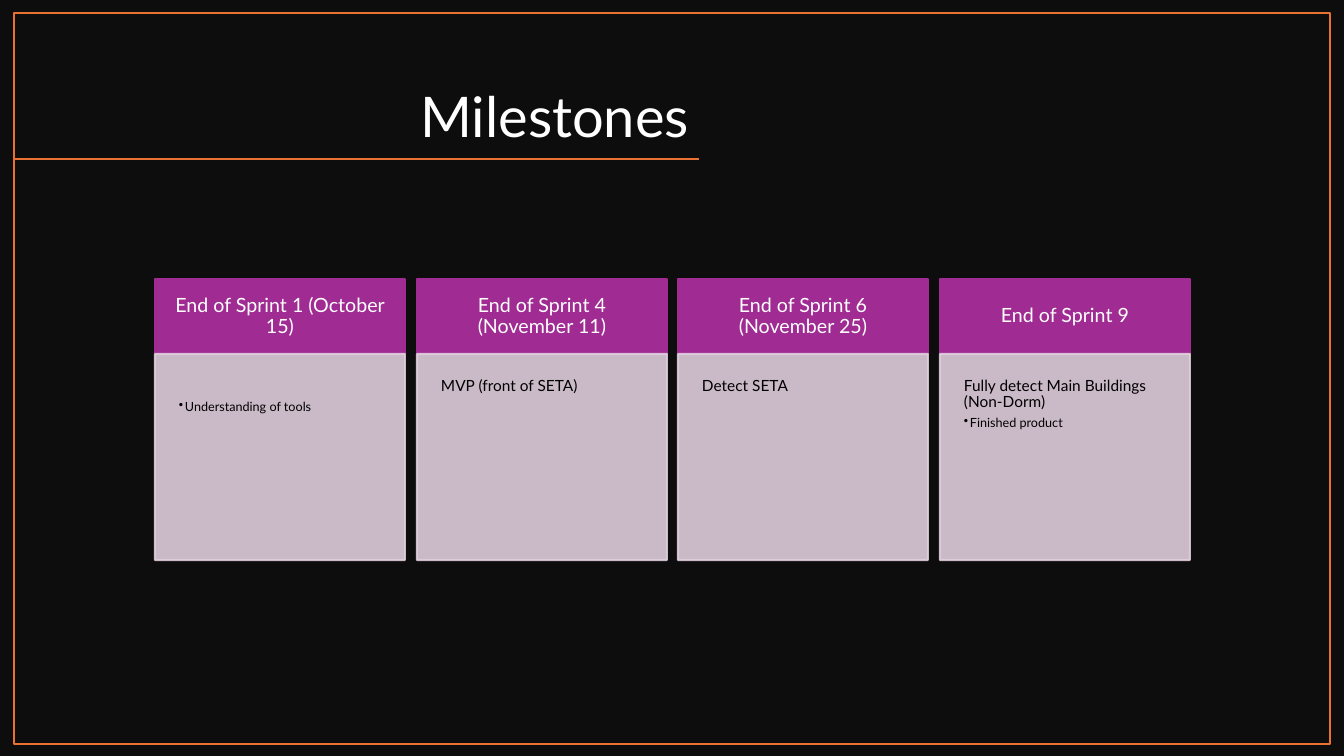
from lxml import etree
from pptx import Presentation, util as u
from pptx.dml.color import RGBColor
from pptx.enum import shapes, text
from pptx.oxml.ns import qn

PX = 914400 / 100.8  # EMU in one pixel
WIDTH, HEIGHT = 1344, 756
FONT = "Lato"
BLACK, WHITE, NIGHT = "000000", "FFFFFF", "0D0D0D"
ORANGE, PURPLE, LILAC = "E97132", "A02B93", "DFCDDC"

# Card row
CARD_LEFT, CARD_RIGHT, CARD_WIDTH = 155, 1190, 250
HEAD_TOP, HEAD_HEIGHT, BODY_HEIGHT = 279, 75, 206
BODY_INSET, BULLET_ONLY_TOP = 24, 47

# Heading, lead line, bullet
MILESTONES = [
    ("End of Sprint 1 (October 15)", "", "Understanding of tools"),
    ("End of Sprint 4 (November 11)", "MVP (front of SETA)", ""),
    ("End of Sprint 6 (November 25)", "Detect SETA", ""),
    ("End of Sprint 9", "Fully detect Main Buildings (Non-Dorm)", "Finished product"),
]


def px(length):
    return u.Emu(round(length * PX))


def colour(value):
    return RGBColor.from_string(value)


def set_opacity(color_format_parent, percent):
    for tint in color_format_parent.iter(qn("a:srgbClr")):
        etree.SubElement(tint, qn("a:alpha"), val=str(percent * 1000))


def add_box(page, left, top, width, height, fill=None, line=None, weight=1):
    box = page.shapes.add_shape(
        shapes.MSO_SHAPE.RECTANGLE, px(left), px(top), px(width), px(height))
    box.shadow.inherit = False
    if fill:
        box.fill.solid()
        box.fill.fore_color.rgb = colour(fill)
    else:
        box.fill.background()
    if line:
        box.line.color.rgb = colour(line)
        box.line.width = u.Pt(weight)
    else:
        box.line.fill.background()
    return box


def set_frame(frame, anchor, inset, top=None):
    frame.word_wrap = True
    frame.vertical_anchor = anchor
    frame.margin_left = frame.margin_right = frame.margin_bottom = px(inset)
    frame.margin_top = px(inset if top is None else top)


def write(para, words, size, ink, align=text.PP_ALIGN.LEFT, after=0):
    para.text = words
    para.alignment = align
    para.line_spacing = 0.9
    para.space_after = u.Pt(after)
    para.font.name = FONT
    para.font.size = u.Pt(size)
    para.font.color.rgb = colour(ink)


def add_bullet(para):
    props = para._p.get_or_add_pPr()
    props.set("marL", str(px(6)))
    props.set("indent", str(px(-6)))
    mark = etree.Element(qn("a:buChar"), char="•")
    props.find(qn("a:defRPr")).addprevious(mark)


def add_title(page, words):
    box = page.shapes.add_textbox(px(93), px(42), px(606), px(113))
    frame = box.text_frame
    set_frame(frame, text.MSO_ANCHOR.BOTTOM, 10)
    frame.margin_bottom = px(5)
    write(frame.paragraphs[0], words, 40, WHITE, text.PP_ALIGN.RIGHT)


def add_rule(page, left, right, top):
    rule = page.shapes.add_connector(
        shapes.MSO_CONNECTOR.STRAIGHT, px(right), px(top), px(left), px(top))
    rule.line.color.rgb = colour(ORANGE)
    rule.line.width = u.Pt(1)
    etree.SubElement(rule._element.spPr, qn("a:effectLst"))


def add_card(page, left, heading, lead, bullet):
    # Heading band
    head = add_box(page, left, HEAD_TOP, CARD_WIDTH, HEAD_HEIGHT, PURPLE, PURPLE, 1.5)
    set_frame(head.text_frame, text.MSO_ANCHOR.MIDDLE, 20)
    write(head.text_frame.paragraphs[0], heading, 14, WHITE, text.PP_ALIGN.CENTER)

    # Details below it
    body = add_box(page, left, HEAD_TOP + HEAD_HEIGHT, CARD_WIDTH, BODY_HEIGHT,
                   LILAC, LILAC, 1.5)
    set_opacity(body._element.spPr, 90)
    frame = body.text_frame
    set_frame(frame, text.MSO_ANCHOR.TOP, BODY_INSET,
              BODY_INSET if lead else BULLET_ONLY_TOP)
    para = frame.paragraphs[0]
    if lead:
        write(para, lead, 11, BLACK, after=4)
    if bullet:
        if lead:
            para = frame.add_paragraph()
        write(para, bullet, 9, BLACK, after=1)
        add_bullet(para)


def main():
    deck = Presentation()
    deck.slide_width, deck.slide_height = px(WIDTH), px(HEIGHT)
    page = deck.slides.add_slide(deck.slide_layouts[6])

    # Backdrop, title and frame
    add_box(page, 0, 0, WIDTH, HEIGHT, NIGHT)
    add_title(page, "Milestones")
    add_rule(page, 14, 699, 159)
    add_box(page, 14, 13, 1316, 731, line=ORANGE)

    # Milestone cards, evenly spread
    pitch = (CARD_RIGHT - CARD_WIDTH - CARD_LEFT) / (len(MILESTONES) - 1)
    for column, milestone in enumerate(MILESTONES):
        add_card(page, round(CARD_LEFT + column * pitch), *milestone)

    deck.save("out.pptx")


if __name__ == "__main__":
    main()
